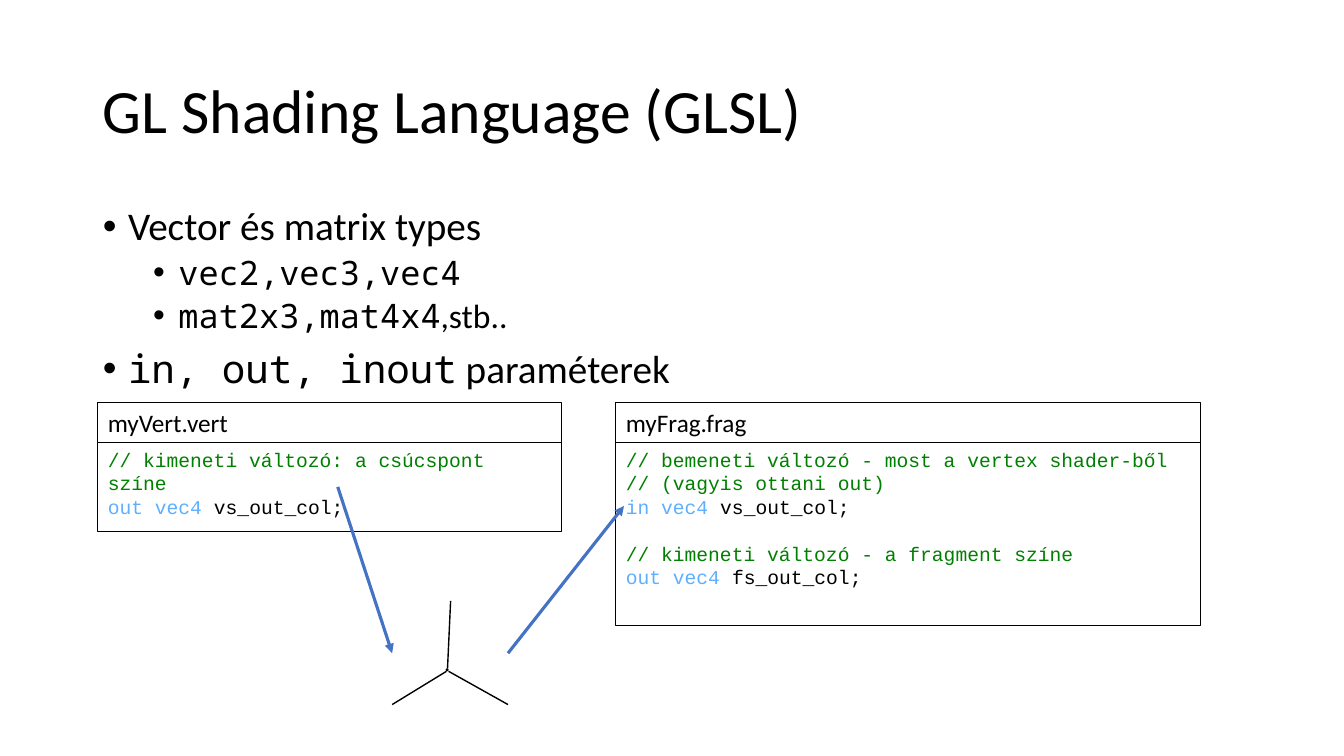
from dataclasses import dataclass

from lxml import etree
from pptx import Presentation
from pptx.dml.color import RGBColor
from pptx.enum.shapes import MSO_CONNECTOR, MSO_SHAPE
from pptx.enum.text import MSO_ANCHOR, MSO_AUTO_SIZE, PP_ALIGN
from pptx.oxml.ns import qn
from pptx.util import Inches, Pt

LEFT = PP_ALIGN.LEFT
TOP, MIDDLE = MSO_ANCHOR.TOP, MSO_ANCHOR.MIDDLE
NO_FIT = MSO_AUTO_SIZE.NONE
RECTANGLE, OVAL = MSO_SHAPE.RECTANGLE, MSO_SHAPE.OVAL
STRAIGHT = MSO_CONNECTOR.STRAIGHT

WIDTH, HEIGHT = Inches(13.33), Inches(7.5)
HEADER_ROWS = 5.33


@dataclass(frozen=True)
class Theme:
    """Colours, fonts and type sizes of the slide."""
    ink: str = "000000"
    comment: str = "008000"
    keyword: str = "5FAFFF"
    arrow: str = "4472C4"
    sans: str = "Calibri"
    mono: str = "Noto Sans Mono"
    code: str = "Courier New"
    title_size: int = 44
    level_sizes: tuple = (28, 24)
    header_size: int = 18
    code_size: int = 14
    code_gap: int = 17


THEME = Theme()


def x(columns):
    """Turn columns (hundredths of the width) into a length."""
    return round(WIDTH * columns / 100)


def y(rows):
    """Turn rows (hundredths of the height) into a length."""
    return round(HEIGHT * rows / 100)


def place(box, left, top, width, height):
    """Move a box to its place on the grid."""
    box.left, box.top, box.width, box.height = x(left), y(top), x(width), y(height)


def add_span(para, text, font, size, color=THEME.ink):
    """Append one formatted span to a paragraph."""
    span = para.add_run()
    span.text = text
    span.font.name, span.font.size = font, Pt(size)
    span.font.color.rgb = RGBColor.from_string(color)


def next_para(frame, index):
    """Return the first paragraph of a frame, or a new one after it."""
    para = frame.add_paragraph() if index else frame.paragraphs[0]
    para.alignment = LEFT
    return para


def set_bullet(para, level):
    """Give a paragraph a round bullet and a hanging indent."""
    properties = para._p.get_or_add_pPr()
    properties.set("marL", str(Inches(0.25 + 0.5 * level)))
    properties.set("indent", str(Inches(-0.25)))
    etree.SubElement(properties, qn("a:buFont")).set("typeface", "Arial")
    etree.SubElement(properties, qn("a:buChar")).set("char", "•")


def fill_title(box, text):
    """Place and format the title."""
    place(box, 6.9, 5.33, 86.25, 19.33)
    frame = box.text_frame
    frame.auto_size, frame.vertical_anchor = NO_FIT, MIDDLE
    para = next_para(frame, 0)
    para.line_spacing = 0.9
    add_span(para, text, THEME.sans, THEME.title_size)


def fill_list(box, items):
    """Place the body and fill it with (level, spans) items."""
    place(box, 6.9, 26.67, 86.25, 63.47)
    frame = box.text_frame
    frame.auto_size, frame.vertical_anchor = NO_FIT, TOP
    for index, (level, spans) in enumerate(items):
        para = next_para(frame, index)
        para.level, para.line_spacing = level, 0.9
        para.space_before = Pt(5 if level else 10)
        set_bullet(para, level)
        for text, font in spans:
            add_span(para, text, font, THEME.level_sizes[level])


def add_frame(page, left, top, width, height):
    """Add an outlined rectangle and return its text frame."""
    box = page.shapes.add_shape(RECTANGLE, x(left), y(top), x(width), y(height))
    box.shadow.inherit = False
    box.fill.background()
    box.line.color.rgb = RGBColor.from_string(THEME.ink)
    box.line.width = Pt(0.75)
    frame = box.text_frame
    frame.word_wrap, frame.vertical_anchor = True, TOP
    return frame


def add_listing(page, name, lines, left, top, width, height):
    """Add a code box under a header with the file name."""
    frame = add_frame(page, left, top, width, height)
    for index, (keyword, rest) in enumerate(lines):
        para = next_para(frame, index)
        if keyword:
            add_span(para, keyword, THEME.code, THEME.code_size, THEME.keyword)
        elif index and lines[index - 1][0]:
            para.space_before = Pt(THEME.code_gap)
        color = THEME.ink if keyword else THEME.comment
        add_span(para, rest, THEME.code, THEME.code_size, color)
    header = add_frame(page, left, top - HEADER_ROWS, width, HEADER_ROWS)
    add_span(next_para(header, 0), name, THEME.sans, THEME.header_size)


def add_line(shapes, start, end, color, weight, arrow=False):
    """Add a straight line, with an arrowhead at its end if asked."""
    line = shapes.add_connector(STRAIGHT, x(start[0]), y(start[1]), x(end[0]), y(end[1]))
    line.line.color.rgb = RGBColor.from_string(color)
    line.line.width = Pt(weight)
    properties = line.element.spPr
    if arrow:
        etree.SubElement(properties.find(qn("a:ln")), qn("a:tailEnd")).set("type", "triangle")
    etree.SubElement(properties, qn("a:effectLst"))


def add_vertex(page):
    """Add a vertex where three edges meet, as one group."""
    shapes = page.shapes.add_group_shape().shapes
    dot = shapes.add_shape(OVAL, x(33.16), y(88.4), Inches(0.03), Inches(0.03))
    dot.shadow.inherit = False
    dot.fill.solid()
    dot.fill.fore_color.rgb = RGBColor.from_string(THEME.ink)
    dot.line.fill.background()
    edges = [((33.53, 79.47), (33.3, 88.4)),
             ((37.8, 93.2), (33.38, 88.8)),
             ((29.18, 93.2), (33.22, 88.8))]
    for start, end in edges:
        add_line(shapes, start, end, THEME.ink, 1)


def main():
    """Build the slide and save it."""
    deck = Presentation()
    deck.slide_width, deck.slide_height = WIDTH, HEIGHT
    page = deck.slides.add_slide(deck.slide_layouts[1])
    fill_title(page.shapes.title, "GL Shading Language (GLSL)")
    fill_list(page.placeholders[1], [
        (0, [("Vector és matrix types", THEME.sans)]),
        (1, [("vec2,vec3,vec4", THEME.mono)]),
        (1, [("mat2x3,mat4x4", THEME.mono), (",stb..", THEME.sans)]),
        (0, [("in, out, inout", THEME.mono), (" paraméterek", THEME.sans)]),
    ])
    add_listing(page, "myVert.vert", [
        ("", "// kimeneti változó: a csúcspont színe"),
        ("out vec4 ", "vs_out_col;"),
    ], 7.28, 58.53, 34.5, 11.73)
    add_listing(page, "myFrag.frag", [
        ("", "// bemeneti változó - most a vertex shader-ből"),
        ("", "// (vagyis ottani out)"),
        ("in vec4 ", "vs_out_col;"),
        ("", "// kimeneti változó - a fragment színe"),
        ("out vec4 ", "fs_out_col;"),
    ], 45.83, 58.53, 43.5, 24.27)
    add_vertex(page)
    add_line(page.shapes, (25.13, 64.4), (29.18, 86.4), THEME.arrow, 2.25, arrow=True)
    add_line(page.shapes, (37.8, 86.4), (46.43, 66.93), THEME.arrow, 2.25, arrow=True)
    deck.save("out.pptx")


main()
